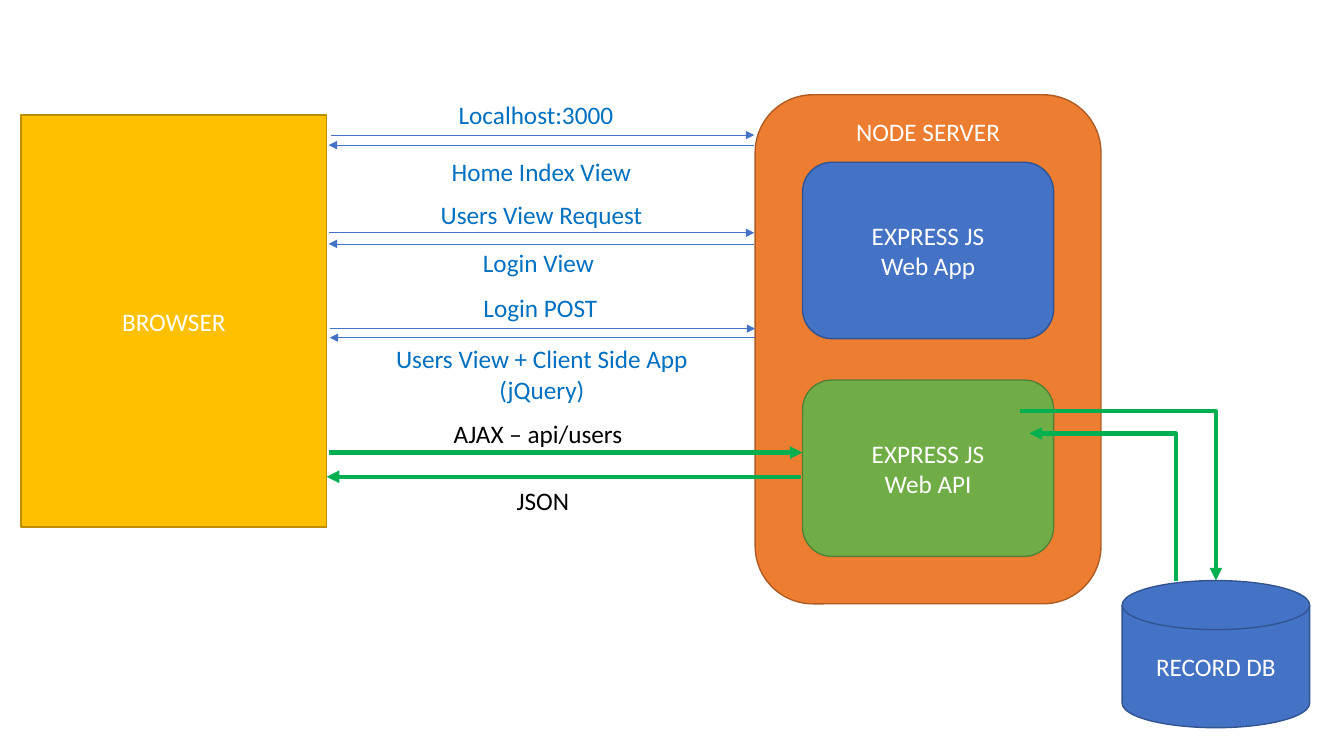
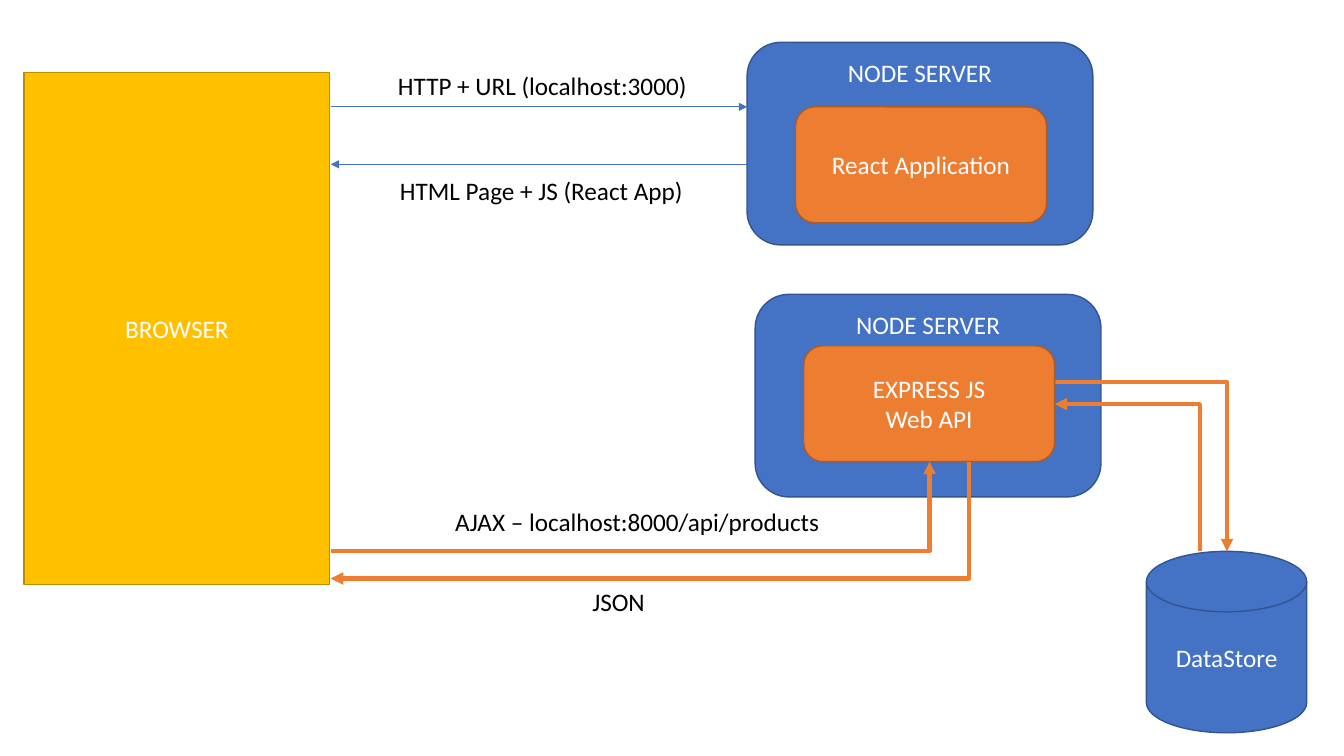
"""Draw two request-flow diagrams: a server-rendered app and a client-side app."""
from dataclasses import dataclass
from typing import Union

from pptx import Presentation
from pptx import util as u
from pptx.dml.color import RGBColor
from pptx.enum import shapes, text
from pptx.oxml.ns import qn
from lxml import etree

PX = 9144
FONT = "Calibri"
TEXT_SIZE = 18
BLANK_LAYOUT = 6

WHITE, BLACK, LINK_BLUE = "FFFFFF", "000000", "0070C0"
BLUE, ORANGE, YELLOW, GREEN = "4472C4", "ED7D31", "FFC000", "70AD47"
FLOW_GREEN = "00B050"
EDGES = {BLUE: "325491", ORANGE: "AF5C24", YELLOW: "BD8E00", GREEN: "538035"}

RECT = shapes.MSO_SHAPE.RECTANGLE
ROUND = shapes.MSO_SHAPE.ROUNDED_RECTANGLE
DISK = shapes.MSO_SHAPE.FLOWCHART_MAGNETIC_DISK

SERVER_WIDTH, MODULE_WIDTH, BROWSER_WIDTH = 343, 249, 303
LABEL_HEIGHT, LINE_HEIGHT = 40, 31


@dataclass(frozen=True)
class Node:
    """A filled shape with centred white text."""
    words: str
    left: int
    top: int
    width: int
    height: int
    fill: str
    kind: shapes.MSO_SHAPE = ROUND
    at_top: bool = False


@dataclass(frozen=True)
class Label:
    """Unwrapped text centred in its width."""
    words: str
    left: int
    top: int
    width: int
    color: str = BLACK


@dataclass(frozen=True)
class Arrow:
    """A line running across, then up or down; back puts the head at its start."""
    left: int
    start_y: int
    right: int
    end_y: int
    color: str = BLUE
    weight: float = 0.5
    back: bool = False


Item = Union[Node, Label, Arrow]


def px(length: int) -> u.Emu:
    """Turn px into EMU."""
    return u.Emu(length * PX)


def rgb(value: str) -> RGBColor:
    """Turn a hex string into a colour."""
    return RGBColor.from_string(value)


def write(frame, words: str, color: str) -> None:
    """Fill a text frame with one centred paragraph per line."""
    frame.text = words
    for para in frame.paragraphs:
        para.alignment = text.PP_ALIGN.CENTER
        para.font.name = FONT
        para.font.size = u.Pt(TEXT_SIZE)
        para.font.color.rgb = rgb(color)


def draw_node(page, node: Node) -> None:
    """Draw a filled shape with its darker edge and text."""
    box = page.shapes.add_shape(
        node.kind, px(node.left), px(node.top), px(node.width), px(node.height))
    box.shadow.inherit = False
    box.fill.solid()
    box.fill.fore_color.rgb = rgb(node.fill)
    box.line.color.rgb = rgb(EDGES[node.fill])
    box.line.width = u.Pt(1)
    anchor = text.MSO_ANCHOR
    box.text_frame.vertical_anchor = anchor.TOP if node.at_top else anchor.MIDDLE
    write(box.text_frame, node.words, WHITE)


def draw_label(page, label: Label) -> None:
    """Draw a text box sized to its number of lines."""
    height = LABEL_HEIGHT + LINE_HEIGHT * label.words.count("\n")
    box = page.shapes.add_textbox(
        px(label.left), px(label.top), px(label.width), px(height))
    box.text_frame.word_wrap = False
    box.text_frame.auto_size = text.MSO_AUTO_SIZE.SHAPE_TO_FIT_TEXT
    write(box.text_frame, label.words, label.color)


def draw_arrow(page, arrow: Arrow) -> None:
    """Draw a straight or one-bend connector with a triangular head."""
    bent = arrow.start_y != arrow.end_y
    kind = shapes.MSO_CONNECTOR.ELBOW if bent else shapes.MSO_CONNECTOR.STRAIGHT
    line = page.shapes.add_connector(
        kind, px(arrow.left), px(arrow.start_y), px(arrow.right), px(arrow.end_y))
    line.line.color.rgb = rgb(arrow.color)
    line.line.width = u.Pt(arrow.weight)
    properties = line._element.spPr
    if bent:
        properties.find(qn("a:prstGeom")).set("prst", "bentConnector2")
    end = "a:headEnd" if arrow.back else "a:tailEnd"
    etree.SubElement(properties.find(qn("a:ln")), qn(end), type="triangle")
    etree.SubElement(properties, qn("a:effectLst"))


def draw(page, items: list[Item]) -> None:
    """Draw items from back to front."""
    painters = {Node: draw_node, Label: draw_label, Arrow: draw_arrow}
    for item in items:
        painters[type(item)](page, item)


def browser(left: int, top: int, height: int) -> Node:
    """Describe the browser block."""
    return Node("BROWSER", left, top, BROWSER_WIDTH, height, YELLOW, RECT)


def server(left: int, top: int, height: int, fill: str) -> Node:
    """Describe a server block titled at its top."""
    return Node("NODE SERVER", left, top, SERVER_WIDTH, height, fill, at_top=True)


def module(words: str, left: int, top: int, height: int, fill: str) -> Node:
    """Describe an application inside a server."""
    return Node(words, left, top, MODULE_WIDTH, height, fill)


def flow(left: int, start_y: int, right: int, end_y: int, color: str,
         back: bool = False) -> Arrow:
    """Describe a thick data arrow."""
    return Arrow(left, start_y, right, end_y, color, 3, back)


SERVER_RENDERED: list[Item] = [
    server(749, 94, 505, ORANGE),
    module("EXPRESS JS\nWeb App", 796, 161, 175, BLUE),
    Arrow(328, 134, 748, 134),
    Arrow(326, 144, 748, 144, back=True),
    Label("Localhost:3000", 444, 94, 175, LINK_BLUE),
    Label("Home Index View", 437, 150, 200, LINK_BLUE),
    Arrow(326, 231, 748, 231),
    Label("Users View Request", 426, 193, 222, LINK_BLUE),
    Arrow(326, 242, 748, 242, back=True),
    Label("Login View", 468, 240, 132, LINK_BLUE),
    Arrow(327, 326, 749, 326),
    Label("Login POST", 469, 285, 134, LINK_BLUE),
    Arrow(327, 335, 749, 335, back=True),
    Label("Users View + Client Side App\n(jQuery)", 381, 336, 313, LINK_BLUE),
    browser(21, 114, 409),
    module("EXPRESS JS\nWeb API", 796, 377, 175, GREEN),
    Node("RECORD DB", 1113, 576, 186, 146, BLUE, DISK),
    flow(1012, 408, 1206, 576, FLOW_GREEN),
    flow(1021, 430, 1166, 576, FLOW_GREEN, back=True),
    flow(326, 449, 796, 449, FLOW_GREEN),
    flow(324, 473, 794, 473, FLOW_GREEN, back=True),
    Label("AJAX – api/users", 439, 410, 189),
    Label("JSON", 502, 477, 73),
]

CLIENT_RENDERED: list[Item] = [
    browser(24, 72, 508),
    server(741, 42, 201, BLUE),
    module("React Application", 789, 106, 115, ORANGE),
    Arrow(328, 106, 741, 106),
    Arrow(328, 163, 741, 163, back=True),
    Label("HTTP + URL (localhost:3000)", 383, 65, 310),
    Label("HTML Page + JS (React App)", 385, 169, 304),
    Node("DataStore", 1137, 547, 159, 180, BLUE, DISK),
    server(749, 292, 201, BLUE),
    flow(1037, 379, 1217, 547, ORANGE),
    flow(1046, 401, 1190, 547, ORANGE, back=True),
    module("EXPRESS JS\nWeb API", 797, 343, 115, ORANGE),
    flow(328, 547, 922, 458, ORANGE),
    flow(328, 574, 961, 458, ORANGE, back=True),
    Label("AJAX – localhost:8000/api/products", 439, 497, 386),
    Label("JSON", 577, 577, 73),
]


def main() -> None:
    """Build and save the deck."""
    deck = Presentation()
    deck.slide_width, deck.slide_height = u.Inches(13.33), u.Inches(7.5)
    for items in (SERVER_RENDERED, CLIENT_RENDERED):
        draw(deck.slides.add_slide(deck.slide_layouts[BLANK_LAYOUT]), items)
    deck.save("out.pptx")


if __name__ == "__main__":
    main()
